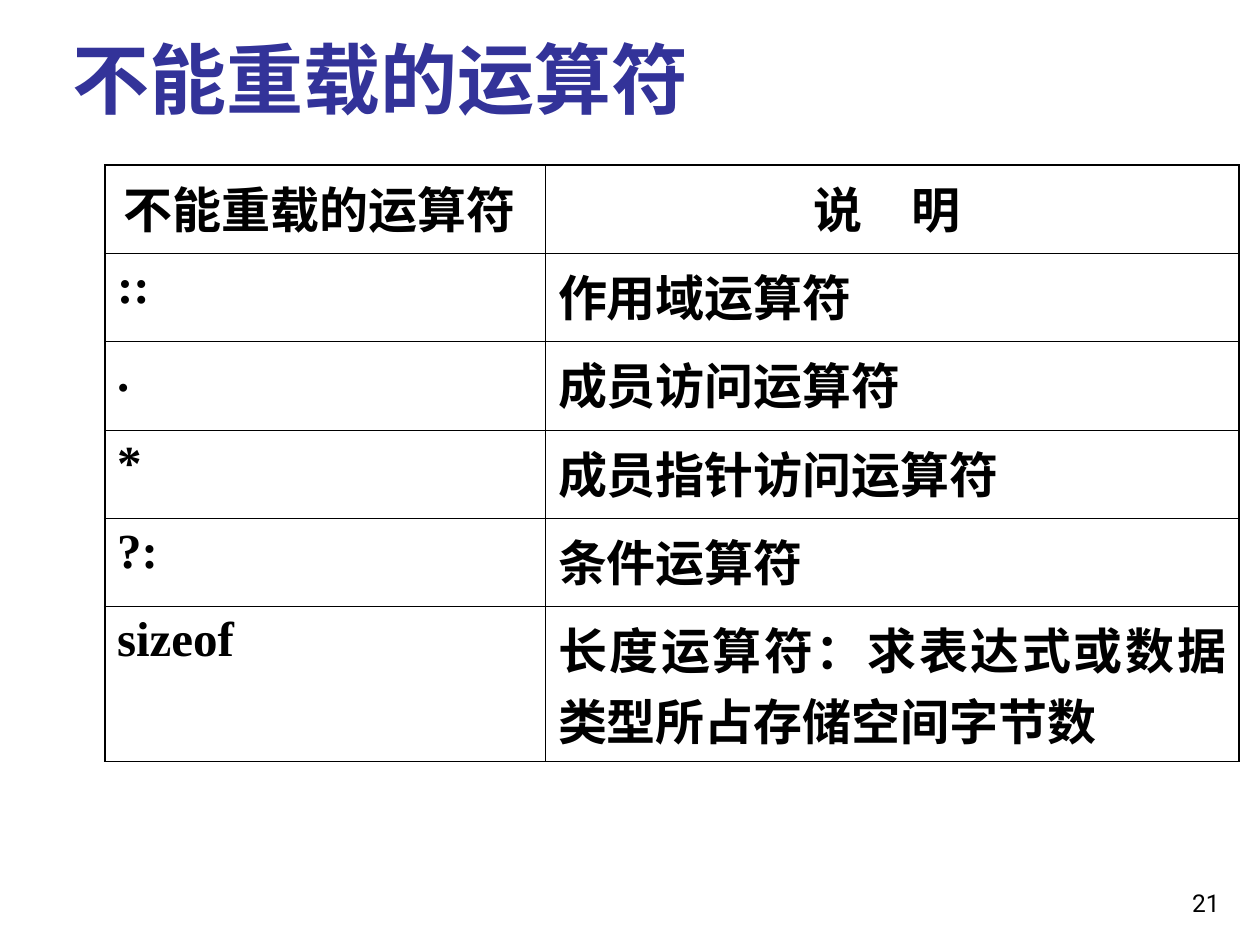
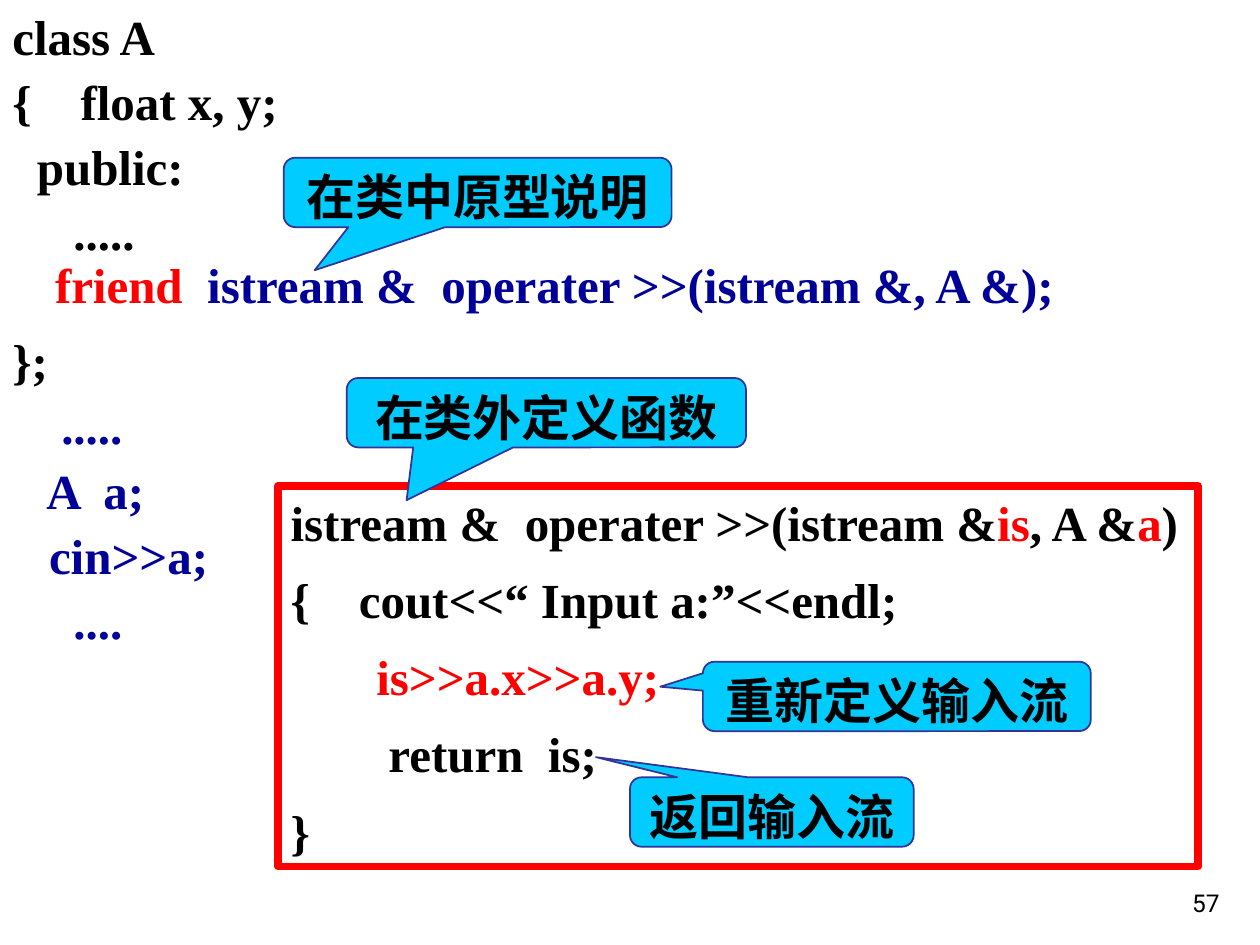
from lxml import etree
from pptx import Presentation
from pptx import util as u
from pptx.dml.color import RGBColor
from pptx.enum import shapes, text
from pptx.oxml.ns import qn

INK, RED, NAVY, INDIGO, CYAN = "000000", "FF0000", "000099", "333399", "00CCFF"
SERIF, SANS = "Times New Roman", "Roboto"
BODY_SIZE = 28
CODE_LINE = 33.6
THIN, THICK = 0.45, 1.08
LEFT, CENTER, RIGHT, JUSTIFY = (
    text.PP_ALIGN.LEFT, text.PP_ALIGN.CENTER, text.PP_ALIGN.RIGHT, text.PP_ALIGN.JUSTIFY)

OPERATORS = [
    ("不能重载的运算符 ", "说　明 "),
    ("::", "作用域运算符"),
    (".", "成员访问运算符"),
    ("*", "成员指针访问运算符"),
    ("?:", "条件运算符"),
    ("sizeof", "长度运算符：求表达式或数据类型所占存储空间字节数"),
]
CLASS_CODE = [
    [("class A", INK)],
    [("{    float x, y;", INK)],
    [("  public:", INK)],
    [("     .....", INK)],
    [("};", INK)],
    [("    .....", NAVY)],
    [("   A  a;", NAVY)],
    [("   cin>>a;", NAVY)],
    [("     ....", NAVY)],
]
FRIEND_CODE = [[("friend", RED), ("  istream &  operater >>(istream &, A &);", NAVY)]]
FUNCTION_CODE = [
    [("istream &  operater >>(istream &", INK), ("is", RED), (", A &", INK),
     ("a", RED), (")", INK)],
    [("{    cout<<“ Input a:”<<endl;", INK)],
    [("       is>>a.x>>a.y;", RED)],
    [("        return  is;", INK)],
    [("}", INK)],
]
CALLOUTS = [
    ("重新定义输入流", 14.17, 13.34, 7.82, (-0.61, -0.14)),
    ("在类中原型说明", 5.72, 3.18, 7.82, (-0.42, 1.12)),
    ("在类外定义函数", 6.99, 7.62, 8.05, (-0.35, 1.26)),
    ("返回输入流", 12.7, 15.67, 5.72, (-0.62, -0.79)),
]


def rgb(code):
    return RGBColor.from_string(code)


def place(*lengths):
    return [u.Cm(length) for length in lengths]


def set_frame(frame, anchor=text.MSO_ANCHOR.TOP, side=0.25, edge=0.13):
    frame.word_wrap = True
    frame.auto_size = text.MSO_AUTO_SIZE.NONE
    frame.vertical_anchor = anchor
    frame.margin_left = frame.margin_right = u.Cm(side)
    frame.margin_top = frame.margin_bottom = u.Cm(edge)


def style_span(span, color=INK, size=BODY_SIZE, name=SERIF, bold=True):
    span.font.name = name
    span.font.size = u.Pt(size)
    span.font.bold = bold
    span.font.color.rgb = rgb(color)


def write_line(frame, line, align, **style):
    frame.text = line
    para = frame.paragraphs[0]
    para.alignment = align
    style_span(para.runs[0], **style)
    return para


def write_code(frame, lines, gap=0, line_height=CODE_LINE):
    for number, spans in enumerate(lines):
        para = frame.add_paragraph() if number else frame.paragraphs[0]
        para.alignment = LEFT
        para.line_spacing = u.Pt(line_height)
        para.space_before = u.Pt(gap if number else 0)
        for words, color in spans:
            span = para.add_run()
            span.text = words
            style_span(span, color)


def add_box(page, area, **frame_style):
    box = page.shapes.add_textbox(*place(*area))
    set_frame(box.text_frame, **frame_style)
    return box.text_frame


def add_shape(page, kind, area, line, width):
    shape = page.shapes.add_shape(kind, *place(*area))
    shape.shadow.inherit = False
    shape.line.color.rgb = rgb(line)
    shape.line.width = u.Pt(width)
    return shape


def add_page(deck, number):
    page = deck.slides.add_slide(deck.slide_layouts[6])
    frame = add_box(page, (19.56, 17.35, 5.28, 1.27), anchor=text.MSO_ANCHOR.BOTTOM)
    write_line(frame, str(number), RIGHT, size=14, name=SANS, bold=False)
    return page


def add_title(page, words):
    frame = add_box(page, (1.22, 0.25, 22.91, 2.24), anchor=text.MSO_ANCHOR.BOTTOM, edge=0)
    write_line(frame, words, LEFT, color=INDIGO, size=44, name=SANS)


def set_borders(cell, widths):
    properties = cell._tc.get_or_add_tcPr()
    for position, (side, width) in enumerate(widths.items()):
        edge = etree.Element(qn(f"a:ln{side}"), w=str(u.Pt(width)))
        fill = etree.SubElement(edge, qn("a:solidFill"))
        etree.SubElement(fill, qn("a:srgbClr"), val=INK)
        properties.insert(position, edge)


def add_operator_table(page):
    last_row = len(OPERATORS) - 1
    table = page.shapes.add_table(
        len(OPERATORS), 2, *place(2.11, 3.33, 22.86, 11.5)).table
    table.first_row = table.horz_banding = False
    for column, width in zip(table.columns, (8.89, 13.97)):
        column.width = u.Cm(width)
    for r, words in enumerate(OPERATORS):
        table.rows[r].height = u.Cm(2.62 if r == last_row else 1.78)
        for c, word in enumerate(words):
            cell = table.cell(r, c)
            cell.fill.background()
            cell.margin_left = cell.margin_right = u.Cm(0.25)
            cell.margin_top = cell.margin_bottom = u.Cm(0.13)
            write_line(cell.text_frame, word, JUSTIFY if r else CENTER)
            set_borders(cell, {
                "L": THIN if c else THICK,
                "R": THICK if c else THIN,
                "T": THIN if r else THICK,
                "B": THIN,
            })


def add_callout(page, words, left, top, width, tip):
    kind = shapes.MSO_SHAPE.ROUNDED_RECTANGULAR_CALLOUT
    shape = add_shape(page, kind, (left, top, width, 1.4), INDIGO, 1)
    shape.fill.solid()
    shape.fill.fore_color.rgb = rgb(CYAN)
    shape.adjustments[0], shape.adjustments[1] = tip
    set_frame(shape.text_frame, side=0.05, edge=0)
    write_line(shape.text_frame, words, CENTER).line_spacing = 1.1


def build_operator_page(deck):
    page = add_page(deck, 21)
    add_title(page, "不能重载的运算符")
    add_operator_table(page)


def build_stream_page(deck):
    page = add_page(deck, 57)
    class_frame = add_box(page, (0, 0, 7.82, 13.23))
    write_code(class_frame, CLASS_CODE, gap=3.5)
    class_frame.paragraphs[4].space_before = u.Pt(CODE_LINE + 2 * 3.5)
    friend_frame = add_box(page, (0.86, 4.65, 20.8, 1.8))
    write_code(friend_frame, FRIEND_CODE, line_height=1.3 * CODE_LINE)
    body = add_shape(page, shapes.MSO_SHAPE.RECTANGLE, (5.61, 9.8, 18.54, 7.67), RED, 4.5)
    body.fill.background()
    set_frame(body.text_frame)
    write_code(body.text_frame, FUNCTION_CODE, gap=10.5)
    for callout in CALLOUTS:
        add_callout(page, *callout)


def main():
    deck = Presentation()
    deck.slide_width, deck.slide_height = place(25.4, 19.05)
    build_operator_page(deck)
    build_stream_page(deck)
    deck.save("out.pptx")


if __name__ == "__main__":
    main()
